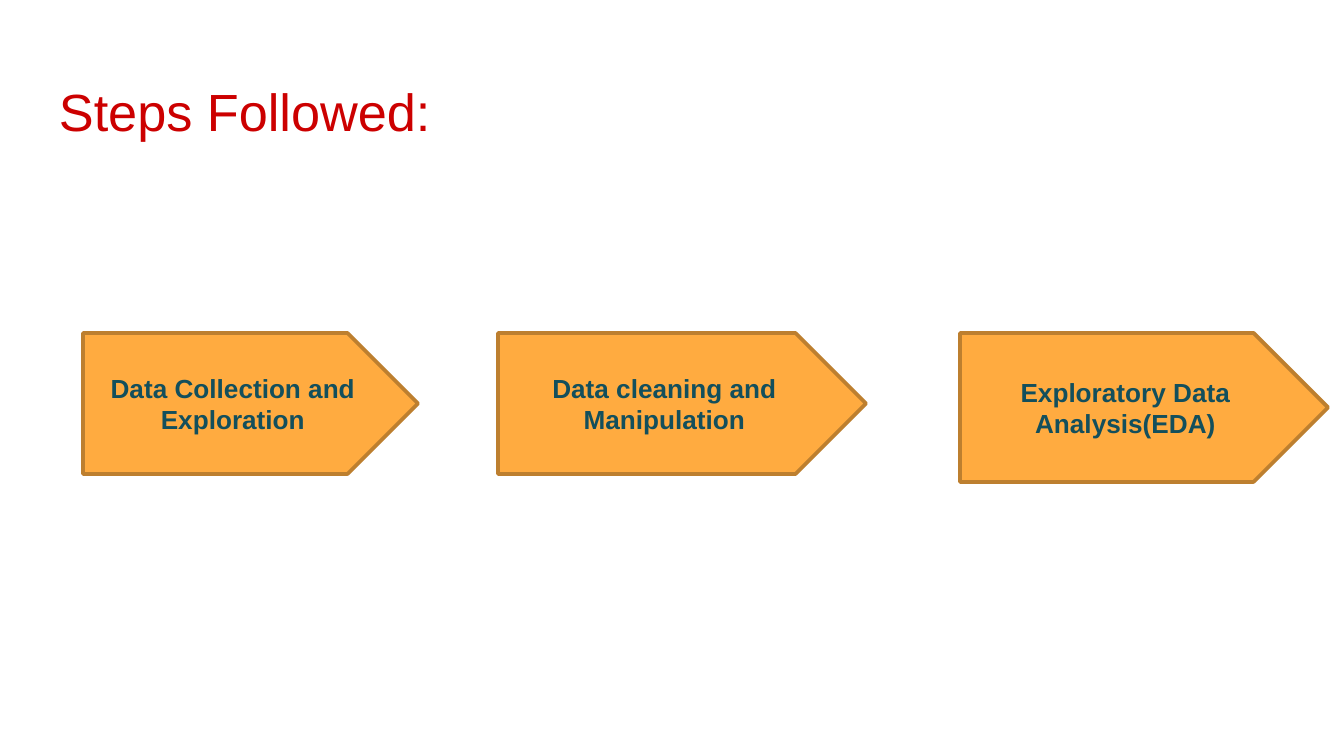
"""Build a slide showing the three steps followed in a data project."""
from pptx import Presentation
from pptx.dml.color import RGBColor
from pptx.enum.shapes import MSO_SHAPE
from pptx.enum.text import MSO_ANCHOR, PP_ALIGN
from pptx.util import Emu, Pt


def px(length):
    return Emu(round(length * 914400 / 134.4))


def style(para, size, color, bold=False):
    para.font.name = "Arial"
    para.font.size = Pt(size)
    para.font.bold = bold
    para.font.color.rgb = RGBColor.from_string(color)


deck = Presentation()
deck.slide_width, deck.slide_height = px(1344), px(756)
page = deck.slides.add_slide(deck.slide_layouts[6])

title = page.shapes.add_textbox(px(46), px(66), px(1252), px(84))
frame = title.text_frame
frame.word_wrap = True
frame.margin_left = frame.margin_right = px(13)
frame.margin_top = frame.margin_bottom = px(13)
frame.text = "Steps Followed:"
style(frame.paragraphs[0], 28, "CC0000")

steps = [
    ("Data Collection and Exploration", 83, 335, 141),
    ("Data cleaning and Manipulation", 498, 368, 141),
    ("Exploratory Data Analysis(EDA)", 960, 368, 149),
]
for label, left, width, height in steps:
    arrow = page.shapes.add_shape(
        MSO_SHAPE.PENTAGON, px(left), px(333), px(width), px(height)
    )
    arrow.shadow.inherit = False
    arrow.fill.solid()
    arrow.fill.fore_color.rgb = RGBColor.from_string("FFAB40")
    arrow.line.color.rgb = RGBColor.from_string("BD7F2F")
    arrow.line.width = Pt(2)
    frame = arrow.text_frame
    frame.word_wrap = True
    frame.vertical_anchor = MSO_ANCHOR.MIDDLE
    frame.text = label
    para = frame.paragraphs[0]
    para.alignment = PP_ALIGN.CENTER
    style(para, 14, "134F5C", bold=True)

deck.save("out.pptx")
